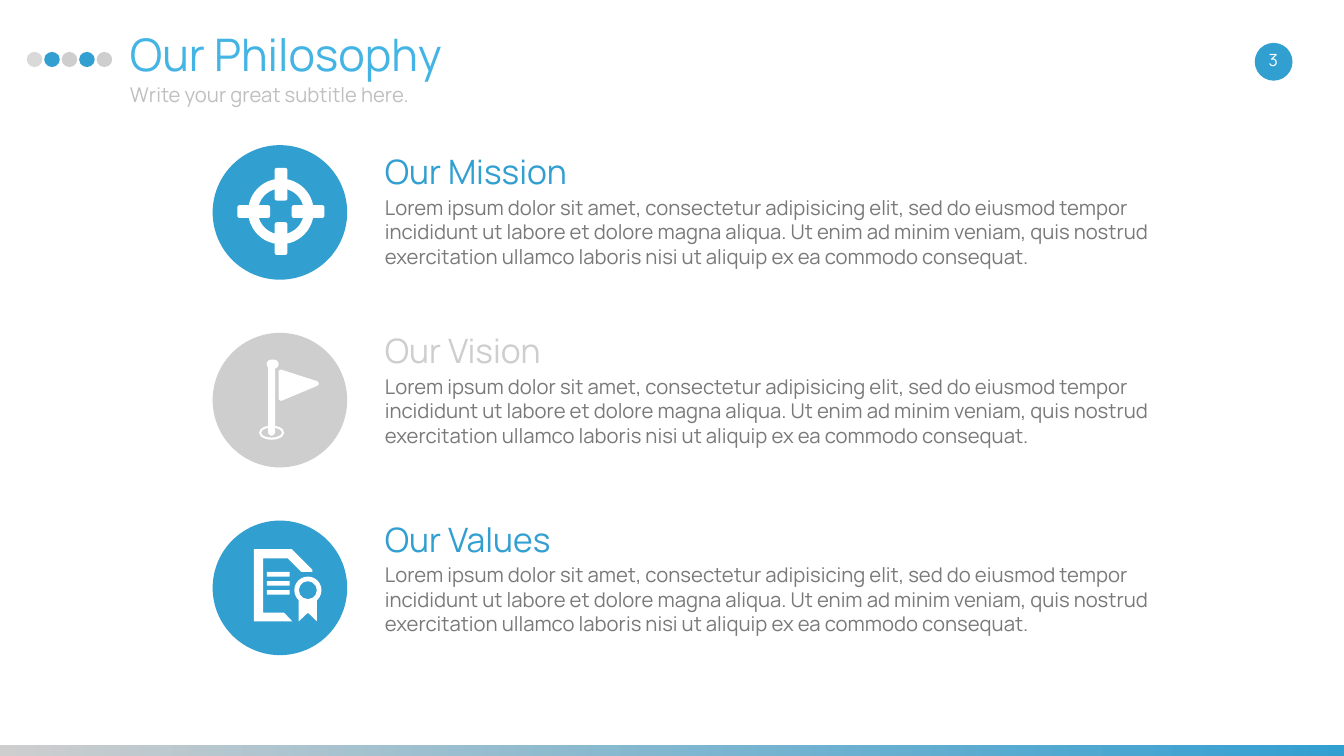
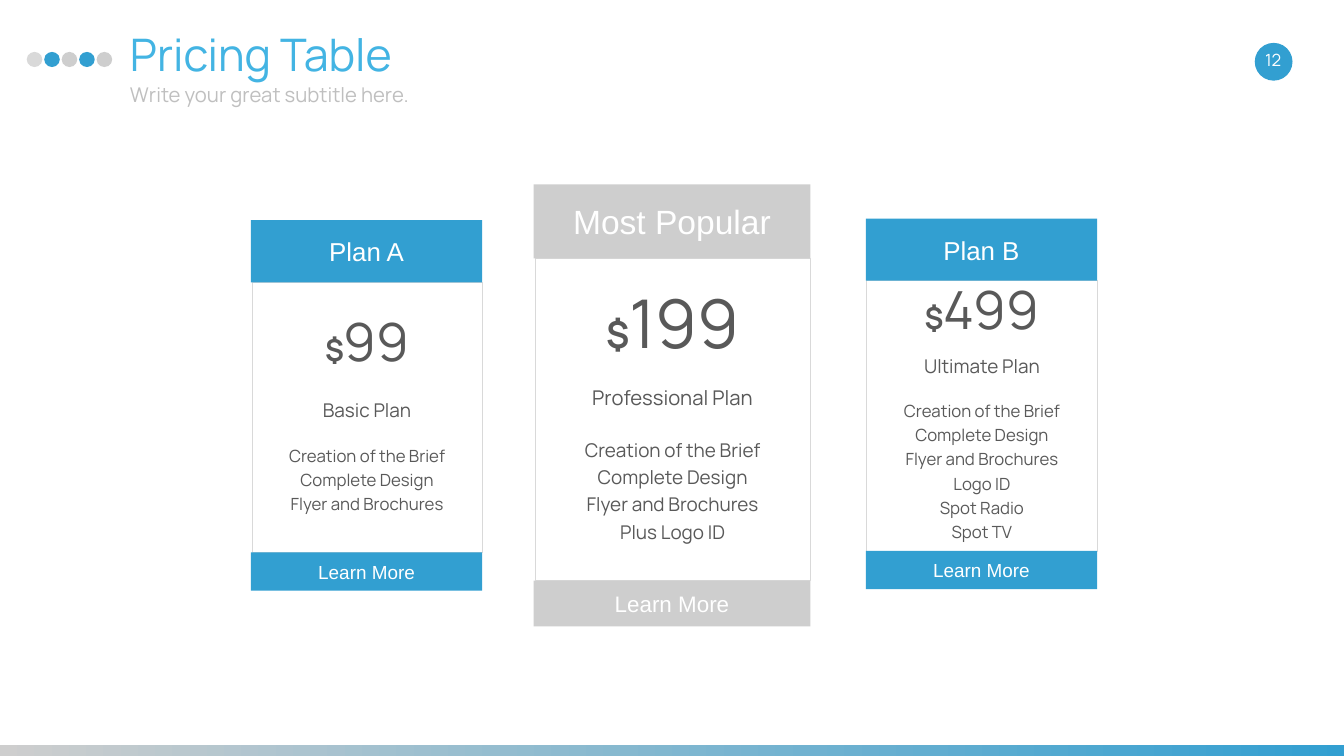
from dataclasses import dataclass

from pptx import Presentation
from pptx import util as u
from pptx.dml.color import RGBColor
from pptx.enum import shapes, text


@dataclass(frozen=True)
class Theme:
    blue: str = "329FD1"
    title_blue: str = "43B4E3"
    silver: str = "CECECE"
    hairline: str = "D9D9D9"
    subtitle_gray: str = "BFBFBF"
    body_gray: str = "797979"
    price_gray: str = "595959"
    white: str = "FFFFFF"
    font: str = "Manrope"
    plan_font: str = "Arial"
    title: int = 64
    heading: int = 48
    body: int = 29
    page: int = 24


@dataclass(frozen=True)
class PlanSizes:
    header: int
    footer: int
    dollar: int
    amount: int
    name: int
    feature: int
    name_gap: float
    feature_gap: float


@dataclass(frozen=True)
class Box:
    left: float
    top: float
    width: float
    height: float

    def area(self, col, row, cols, rows):
        return Box(self.left + self.width * col / 100, self.top + self.height * row / 100,
                   self.width * cols / 100, self.height * rows / 100)

    def point(self, col, row):
        corner = self.area(col, row, 0, 0)
        return u.Inches(corner.left), u.Inches(corner.top)

    def emu(self):
        return [u.Inches(v) for v in (self.left, self.top, self.width, self.height)]


THEME = Theme()
PAGE = Box(0, 0, 26.67, 15)
KIND = shapes.MSO_SHAPE
CENTER = text.PP_ALIGN.CENTER
MIDDLE = text.MSO_ANCHOR.MIDDLE
SIDE_PLAN = PlanSizes(37, 27, 43, 75, 27, 24, 46, 28)
TOP_PLAN = PlanSizes(48, 32, 53, 96, 29, 27, 41, 35.5)
ULTIMATE_PLAN = PlanSizes(37, 27, 43, 75, 27, 24, 27, 28)
LOREM = ("Lorem ipsum dolor sit amet, consectetur adipisicing elit, sed do eiusmod tempor "
         "incididunt ut labore et dolore magna aliqua. Ut enim ad minim veniam, quis nostrud "
         "exercitation ullamco laboris nisi ut aliquip ex ea commodo consequat.")


def rgb(color):
    return RGBColor.from_string(color)


def write(frame, words, *, size, color, font=THEME.font, bold=False, align=None,
          spacing=None, before=None, same_line=False):
    paragraph = frame.paragraphs[-1]
    if paragraph.runs and not same_line:
        paragraph = frame.add_paragraph()
    if align is not None:
        paragraph.alignment = align
    if spacing is not None:
        paragraph.line_spacing = spacing
    if before is not None:
        paragraph.space_before = u.Pt(before)
    run = paragraph.add_run()
    run.text = words
    run.font.size = u.Pt(size)
    run.font.name = font
    run.font.bold = bold
    run.font.color.rgb = rgb(color)


def prepare(frame, anchor=text.MSO_ANCHOR.TOP):
    frame.word_wrap = True
    frame.auto_size = text.MSO_AUTO_SIZE.NONE
    frame.vertical_anchor = anchor
    frame.margin_left = frame.margin_right = u.Inches(0.27)
    frame.margin_top = frame.margin_bottom = u.Inches(0.13)


def label(slide, box, words, anchor=text.MSO_ANCHOR.TOP, **style):
    frame = slide.shapes.add_textbox(*box.emu()).text_frame
    prepare(frame, anchor)
    write(frame, words, **style)


def finish(shape, fill, line=None):
    shape.shadow.inherit = False
    shape.fill.solid()
    shape.fill.fore_color.rgb = rgb(fill)
    if line:
        shape.line.color.rgb = rgb(line)
        shape.line.width = u.Pt(0.75)
    else:
        shape.line.fill.background()
    return shape


def solid(slide, kind, box, fill, line=None, adjust=None):
    shape = finish(slide.shapes.add_shape(kind, *box.emu()), fill, line)
    if adjust is not None:
        shape.adjustments[0] = adjust
    return shape


def outline(slide, box, corners):
    points = [box.point(*corner) for corner in corners]
    builder = slide.shapes.build_freeform(*points[0], scale=1.0)
    builder.add_line_segments(points[1:], close=True)
    finish(builder.convert_to_shape(), THEME.white)


def header_and_footer(slide, page, title, number):
    band = solid(slide, KIND.RECTANGLE, page.area(0, 98.6, 100, 1.4), THEME.silver)
    band.fill.gradient()
    band.fill.gradient_angle = 0
    for stop, position, color in zip(band.fill.gradient_stops, (0, 1), (THEME.silver, THEME.blue)):
        stop.position = position
        stop.color.rgb = rgb(color)

    dots = (THEME.hairline, THEME.blue, THEME.silver, THEME.blue, THEME.silver)
    for i, color in enumerate(dots):
        solid(slide, KIND.OVAL, page.area(1.99 + 1.3 * i, 6.87, 1.16, 2), color)

    solid(slide, KIND.OVAL, page.area(93.36, 5.67, 2.81, 5), THEME.blue)
    label(slide, page.area(92.54, 5.2, 4.39, 5.33), number, anchor=MIDDLE,
          size=THEME.page, color=THEME.white, align=CENTER)

    heading = slide.shapes.title
    heading.left, heading.top, heading.width, heading.height = page.area(8.66, 2.73, 79.68, 10.67).emu()
    prepare(heading.text_frame)
    write(heading.text_frame, title, size=THEME.title, color=THEME.title_blue,
          align=text.PP_ALIGN.LEFT)
    label(slide, page.area(8.66, 10, 79.68, 5.67), "Write your great subtitle here.",
          size=THEME.body, color=THEME.subtitle_gray)


def crosshair(slide, disc):
    solid(slide, KIND.DONUT, disc.area(26.4, 24.9, 48.7, 48.7), THEME.white, adjust=0.15)
    arms = ((46.1, 16.9, 9.5, 24.3), (46.1, 57.3, 9.5, 24.3),
            (18.4, 44.6, 24.3, 9.5), (58.8, 44.6, 24.3, 9.5))
    for arm in arms:
        solid(slide, KIND.ROUNDED_RECTANGLE, disc.area(*arm), THEME.white, adjust=0.17)


def flag(slide, disc):
    outline(slide, disc, ((49.1, 28.1), (50.9, 27.3), (77.9, 36), (79, 37.8),
                          (77.9, 39.3), (50.9, 50.6), (49.1, 49.4)))
    solid(slide, KIND.ROUNDED_RECTANGLE, disc.area(41.2, 23, 5.2, 53.4), THEME.white, adjust=0.5)
    solid(slide, KIND.ROUNDED_RECTANGLE, disc.area(40.1, 19.9, 9, 6.7), THEME.white, adjust=0.5)
    solid(slide, KIND.DONUT, disc.area(34.5, 68.9, 18.7, 10.5), THEME.white, adjust=0.15)


def certificate(slide, disc):
    outline(slide, disc, ((53.2, 68.5), (37.5, 68.5), (37.5, 28.1), (55.8, 28.1),
                          (65.9, 38.2), (74.2, 38.2), (74.2, 36.7), (58.8, 21.3),
                          (30.7, 21.3), (30.7, 74.9), (59.2, 74.9)))
    for i in range(3):
        solid(slide, KIND.RECTANGLE, disc.area(40.4, 38.2 + 6.75 * i, 16.9, 3.4), THEME.white)
    solid(slide, KIND.DONUT, disc.area(60.7, 41.6, 20.2, 20.2), THEME.white, adjust=0.17)
    outline(slide, disc, ((64, 58.8), (64, 74.9), (70.8, 68.5), (77.5, 74.9), (77.5, 58.8)))


def principle(slide, box, heading, color, icon, text_row):
    disc = box.area(0, 0, 13.2, 100)
    solid(slide, KIND.OVAL, disc, color)
    icon(slide, disc)
    label(slide, box.area(15.57, text_row, 84.43, 40.45), heading,
          size=THEME.heading, color=color)
    label(slide, box.area(15.57, text_row + 32.6, 84.43, 64.8), LOREM,
          size=THEME.body, color=THEME.body_gray)


def plan_bar(slide, box, words, color, size):
    frame = solid(slide, KIND.RECTANGLE, box, color).text_frame
    frame.vertical_anchor = MIDDLE
    write(frame, words, size=size, color=THEME.white, font=THEME.plan_font, align=CENTER)


def plan(slide, box, header, amount, name, features, color, sizes):
    offer = solid(slide, KIND.RECTANGLE, box.area(0.4, 16.75, 99.6, 72.9),
                  THEME.white, line=THEME.hairline).text_frame
    offer.word_wrap = True
    offer.vertical_anchor = MIDDLE
    style = dict(color=THEME.price_gray, align=CENTER)
    write(offer, "$", size=sizes.dollar, bold=True, spacing=0.8, **style)
    write(offer, amount, size=sizes.amount, same_line=True, **style)
    write(offer, name, size=sizes.name, spacing=0.8, before=sizes.name_gap, **style)
    for i, feature in enumerate(features):
        write(offer, feature, size=sizes.feature, spacing=1.2,
              before=0 if i else sizes.feature_gap, **style)
    plan_bar(slide, box.area(0, 0, 100, 16.75), header, color, sizes.header)
    plan_bar(slide, box.area(0, 89.65, 100, 10.35), "Learn More", color, sizes.footer)


def philosophy_slide(slide, page):
    header_and_footer(slide, page, "Our Philosophy", "3")
    principles = (("Our Mission", THEME.blue, crosshair, -0.4),
                  ("Our Vision", THEME.silver, flag, -6.7),
                  ("Our Values", THEME.blue, certificate, -6.4))
    for i, content in enumerate(principles):
        principle(slide, page.area(15.82, 19.2 + 24.83 * i, 75.86, 17.8), *content)


def pricing_slide(slide, page):
    header_and_footer(slide, page, "Pricing Table", "12")
    basics = ("Creation of the Brief", "Complete Design", "Flyer and Brochures")
    plan(slide, page.area(39.71, 24.4, 20.58, 58.47), "Most Popular", "199",
         "Professional Plan", basics + ("Plus Logo ID",), THEME.silver, TOP_PLAN)
    plan(slide, page.area(18.67, 29.13, 17.21, 49), "Plan A", "99",
         "Basic Plan", basics, THEME.blue, SIDE_PLAN)
    plan(slide, page.area(64.42, 28.93, 17.21, 49), "Plan B", "499", "Ultimate Plan",
         basics + ("Logo ID", "Spot Radio", "Spot TV"), THEME.blue, ULTIMATE_PLAN)


def main():
    deck = Presentation()
    deck.slide_width, deck.slide_height = PAGE.emu()[2:]
    title_only = deck.slide_layouts[5]
    for build in (philosophy_slide, pricing_slide):
        build(deck.slides.add_slide(title_only), PAGE)
    deck.save("out.pptx")


if __name__ == "__main__":
    main()
